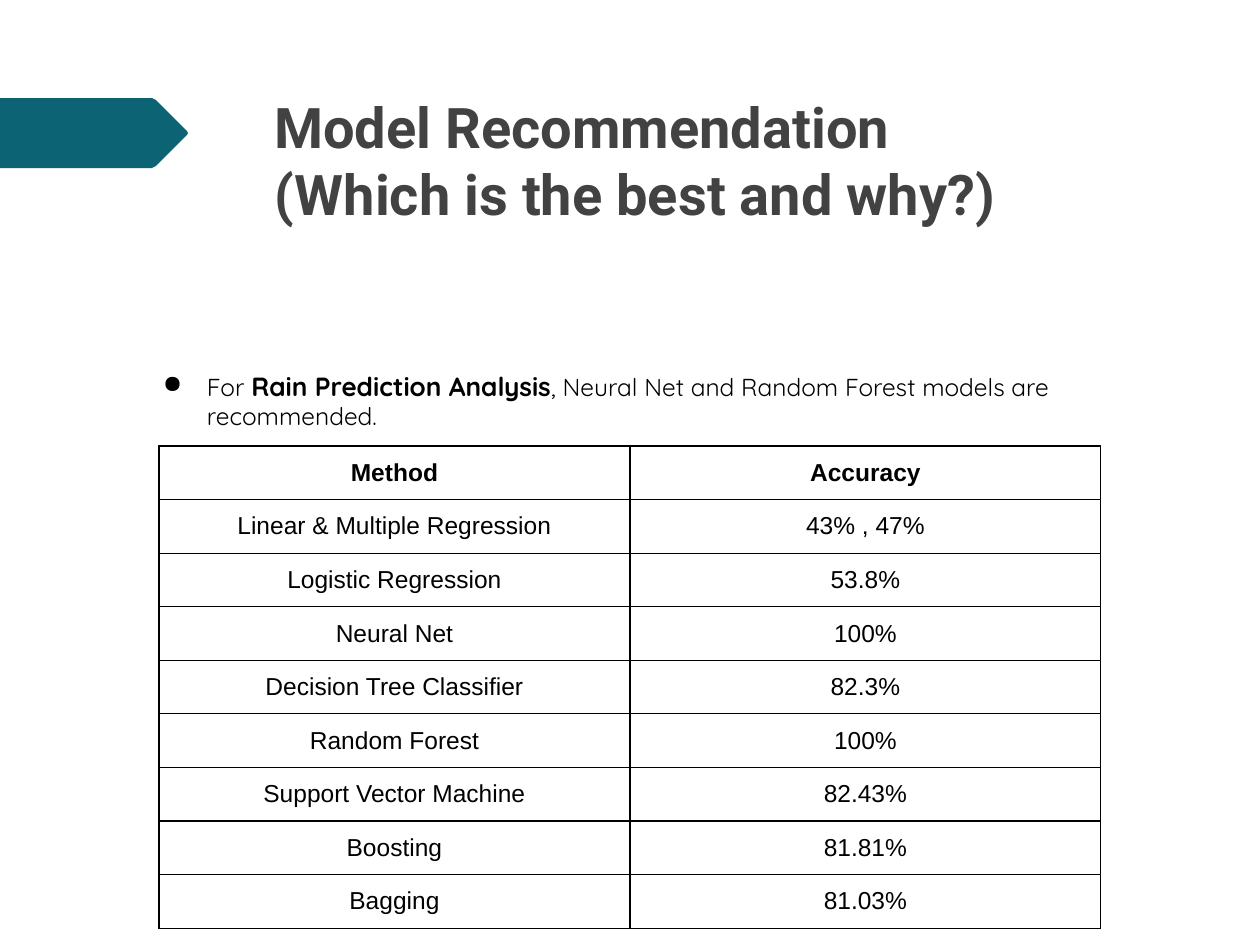
from lxml import etree
from pptx import Presentation
from pptx.dml.color import RGBColor
from pptx.enum.text import MSO_ANCHOR, PP_ALIGN
from pptx.oxml.ns import qn
from pptx.util import Pt

TOP, LEFT, CENTER = MSO_ANCHOR.TOP, PP_ALIGN.LEFT, PP_ALIGN.CENTER
TEAL = RGBColor(0x0B, 0x63, 0x74)
GREY = RGBColor(0x42, 0x42, 0x42)
BLACK = RGBColor(0, 0, 0)
PX = 914400 / 126


def px(n):
    return round(n * PX)


def style(font, name, size, color, bold=False):
    font.name, font.size, font.bold = name, Pt(size), bold
    font.color.rgb = color


prs = Presentation()
prs.slide_width, prs.slide_height = px(1260), px(945)
slide = prs.slides.add_slide(prs.slide_layouts[5])
shapes = slide.shapes

# Arrow tab at the left edge
edge = [(0, 98), (152, 98), (156, 100), (187, 131), (188, 133),
        (187, 135), (156, 166), (152, 168), (0, 168)]
pen = shapes.build_freeform(*edge[0], scale=PX)
pen.add_line_segments(edge[1:], close=True)
tab = pen.convert_to_shape()
tab.shadow.inherit = False
tab.fill.solid()
tab.fill.fore_color.rgb = TEAL
tab.line.fill.background()

# Title
title = shapes.title
title.left, title.top, title.width, title.height = map(px, (268, 86, 908, 176))
frame = title.text_frame
frame.word_wrap = True
frame.vertical_anchor = TOP
frame.margin_left = frame.margin_right = px(6)
frame.margin_top = frame.margin_bottom = px(6)
frame.text = "Model Recommendation\n(Which is the best and why?)"
for para in frame.paragraphs:
    para.alignment = LEFT
    style(para.font, "Roboto", 32, GREY, True)

# Accuracy table
rows = [
    ("Method", "Accuracy"),
    ("Linear & Multiple Regression", "43% , 47%"),
    ("Logistic Regression", "53.8%"),
    ("Neural Net", "100%"),
    ("Decision Tree Classifier", "82.3%"),
    ("Random Forest", "100%"),
    ("Support Vector Machine", "82.43%"),
    ("Boosting", "81.81%"),
    ("Bagging", "81.03%"),
]
grid = shapes.add_table(len(rows), 2, px(159), px(446), px(942), px(49 * len(rows))).table
grid.first_row = grid.horz_banding = False
for r, row in enumerate(rows):
    for c, text in enumerate(row):
        cell = grid.cell(r, c)
        cell.text = text
        cell.margin_left = cell.margin_right = px(13)
        cell.margin_top = cell.margin_bottom = px(13)
        para = cell.text_frame.paragraphs[0]
        para.alignment = CENTER
        style(para.font, "Arial", 14, BLACK, r == 0)
        props = cell._tc.get_or_add_tcPr()
        for side in ("a:lnL", "a:lnR", "a:lnT", "a:lnB"):
            line = etree.SubElement(props, qn(side), w=str(Pt(0.75)))
            fill = etree.SubElement(line, qn("a:solidFill"))
            etree.SubElement(fill, qn("a:srgbClr"), val=str(BLACK))
        cell.fill.background()

# Recommendation bullet
box = shapes.add_textbox(px(131), px(357), px(998), px(87))
frame = box.text_frame
frame.word_wrap = True
frame.margin_left = frame.margin_right = px(13)
frame.margin_top = frame.margin_bottom = px(13)
para = frame.paragraphs[0]
for text, size, bold in [
    ("For ", 14, False),
    ("Rain Prediction Analysis", 15, True),
    (", Neural Net and Random Forest models are recommended.", 14, False),
]:
    run = para.add_run()
    run.text = text
    style(run.font, "Quicksand", size, BLACK, bold)
props = para._p.get_or_add_pPr()
props.set("marL", str(px(63)))
props.set("indent", str(px(-44)))
tint = etree.SubElement(props, qn("a:buClr"))
etree.SubElement(tint, qn("a:srgbClr"), val=str(BLACK))
etree.SubElement(props, qn("a:buChar"), char="●")

prs.save("out.pptx")
